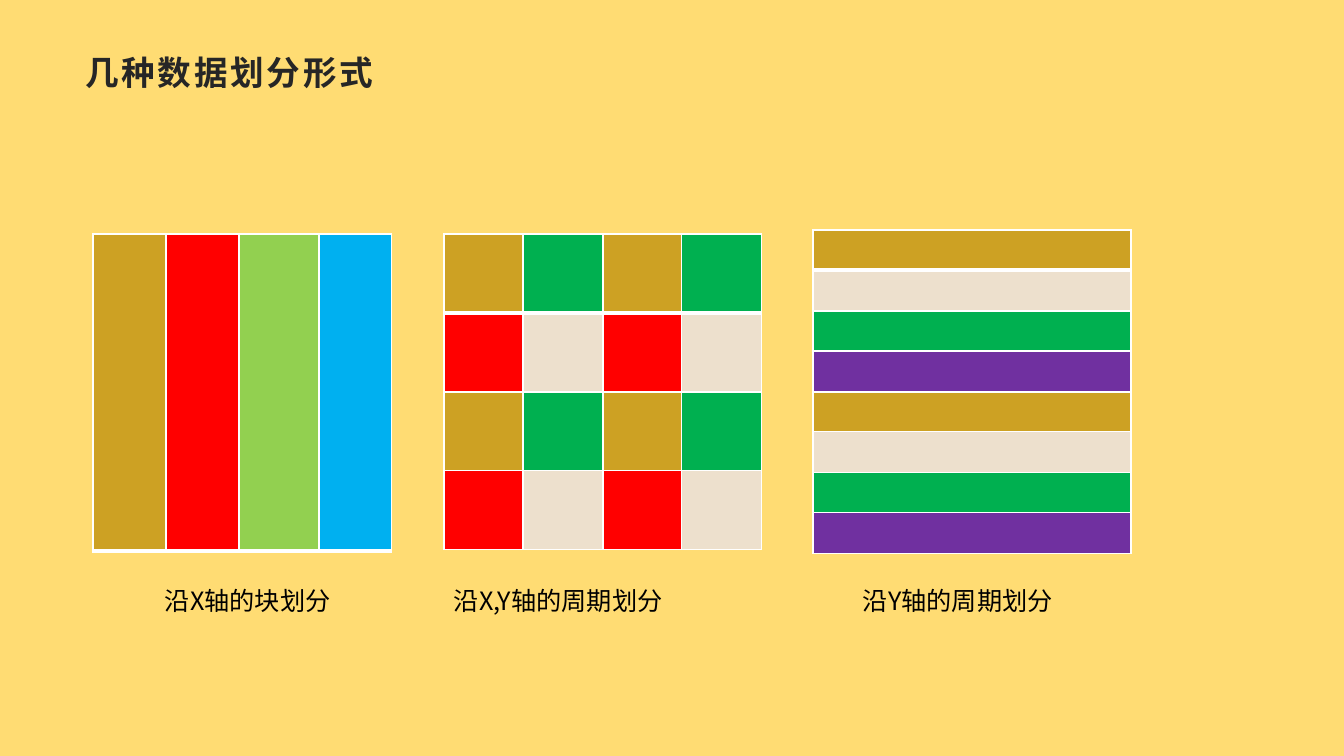
from dataclasses import dataclass

from lxml import etree
from pptx import Presentation
from pptx import util as u
from pptx.dml.color import RGBColor
from pptx.enum import text
from pptx.oxml import ns

PX = 12700 * 72 / 100.8  # EMU in one px


@dataclass(frozen=True)
class Theme:
    background: str = "FFDC73"
    title: str = "262626"
    caption: str = "000000"
    border: str = "FFFFFF"
    gold: str = "CDA123"
    red: str = "FF0000"
    lime: str = "92D050"
    blue: str = "00B0F0"
    green: str = "00B050"
    sand: str = "EDE0CD"
    purple: str = "7030A0"
    title_font: str = "Arial"
    font: str = "Noto Sans CJK SC"
    title_size: int = 24
    caption_size: int = 18
    thin: int = 1
    thick: int = 3


theme = Theme()


def px(*lengths):
    return [u.Emu(round(length * PX)) for length in lengths]


def fill_cell(cell, color, top, bottom):
    """Fill a cell and draw its borders; top and bottom are widths in points."""
    cell.margin_top = cell.margin_bottom = 0
    cell.fill.solid()
    cell.fill.fore_color.rgb = RGBColor.from_string(color)
    properties = cell._tc.get_or_add_tcPr()
    widths = {"L": theme.thin, "R": theme.thin, "T": top, "B": bottom}
    for index, (side, width) in enumerate(widths.items()):
        line = etree.Element(ns.qn(f"a:ln{side}"), w=str(u.Pt(width)))
        fill = etree.SubElement(line, ns.qn("a:solidFill"))
        etree.SubElement(fill, ns.qn("a:srgbClr"), val=theme.border)
        properties.insert(index, line)


presentation = Presentation()
presentation.slide_width, presentation.slide_height = px(1344, 756)
slide = presentation.slides.add_slide(presentation.slide_layouts[5])
slide.background.fill.solid()
slide.background.fill.fore_color.rgb = RGBColor.from_string(theme.background)

# Title
title = slide.shapes.title
title.left, title.top, title.width, title.height = px(74, 48, 1196, 48)
frame = title.text_frame
frame.text = "几种数据划分形式"
frame.auto_size = text.MSO_AUTO_SIZE.NONE
frame.vertical_anchor = text.MSO_ANCHOR.MIDDLE
frame.margin_left, frame.margin_top, frame.margin_right, frame.margin_bottom = px(11, 4, 8, 4)
paragraph = frame.paragraphs[0]
paragraph.alignment = text.PP_ALIGN.LEFT
run = paragraph.runs[0]
run.font.name = theme.title_font
run.font.size = u.Pt(theme.title_size)
run.font.bold = True
run.font.color.rgb = RGBColor.from_string(theme.title)
run_properties = run.font._element
run_properties.set("spc", "200")
etree.SubElement(run_properties, ns.qn("a:ea"), typeface=theme.font)

# Partition tables: left, top, column widths, row heights, colours by row
checker = [[theme.gold, theme.green] * 2, [theme.red, theme.sand] * 2] * 2
stripes = [[color] for color in (theme.gold, theme.sand, theme.green, theme.purple)] * 2
blocks = [[theme.gold, theme.red, theme.lime, theme.blue]]
partitions = [
    (93, 234, [73, 73, 80, 73], [317], blocks),
    (444, 234, [79, 80] * 2, [79] * 4, checker),
    (813, 230, [318], [40, 41] * 4, stripes),
]
for left, top, widths, heights, colors in partitions:
    frame_box = px(left, top, sum(widths), sum(heights))
    table = slide.shapes.add_table(len(heights), len(widths), *frame_box).table
    table.first_row = table.horz_banding = False
    for column, width in zip(table.columns, px(*widths)):
        column.width = width
    for row, height in zip(table.rows, px(*heights)):
        row.height = height
    for row, row_colors in enumerate(colors):
        above = theme.thick if row == 1 else theme.thin
        below = theme.thick if row == 0 else theme.thin
        for column, color in enumerate(row_colors):
            fill_cell(table.cell(row, column), color, above, below)

# Captions
captions = [(155, 204, "沿X轴的块划分"), (444, 238, "沿X,Y轴的周期划分"), (853, 238, "沿Y轴的周期划分")]
for left, width, caption in captions:
    frame = slide.shapes.add_textbox(*px(left, 580, width, 40)).text_frame
    frame.word_wrap = True
    frame.auto_size = text.MSO_AUTO_SIZE.SHAPE_TO_FIT_TEXT
    frame.text = caption
    paragraph = frame.paragraphs[0]
    paragraph.font.size = u.Pt(theme.caption_size)
    paragraph.font.color.rgb = RGBColor.from_string(theme.caption)
    paragraph.font.name = theme.font
    etree.SubElement(paragraph.font._element, ns.qn("a:ea"), typeface=theme.font)

presentation.save("out.pptx")
